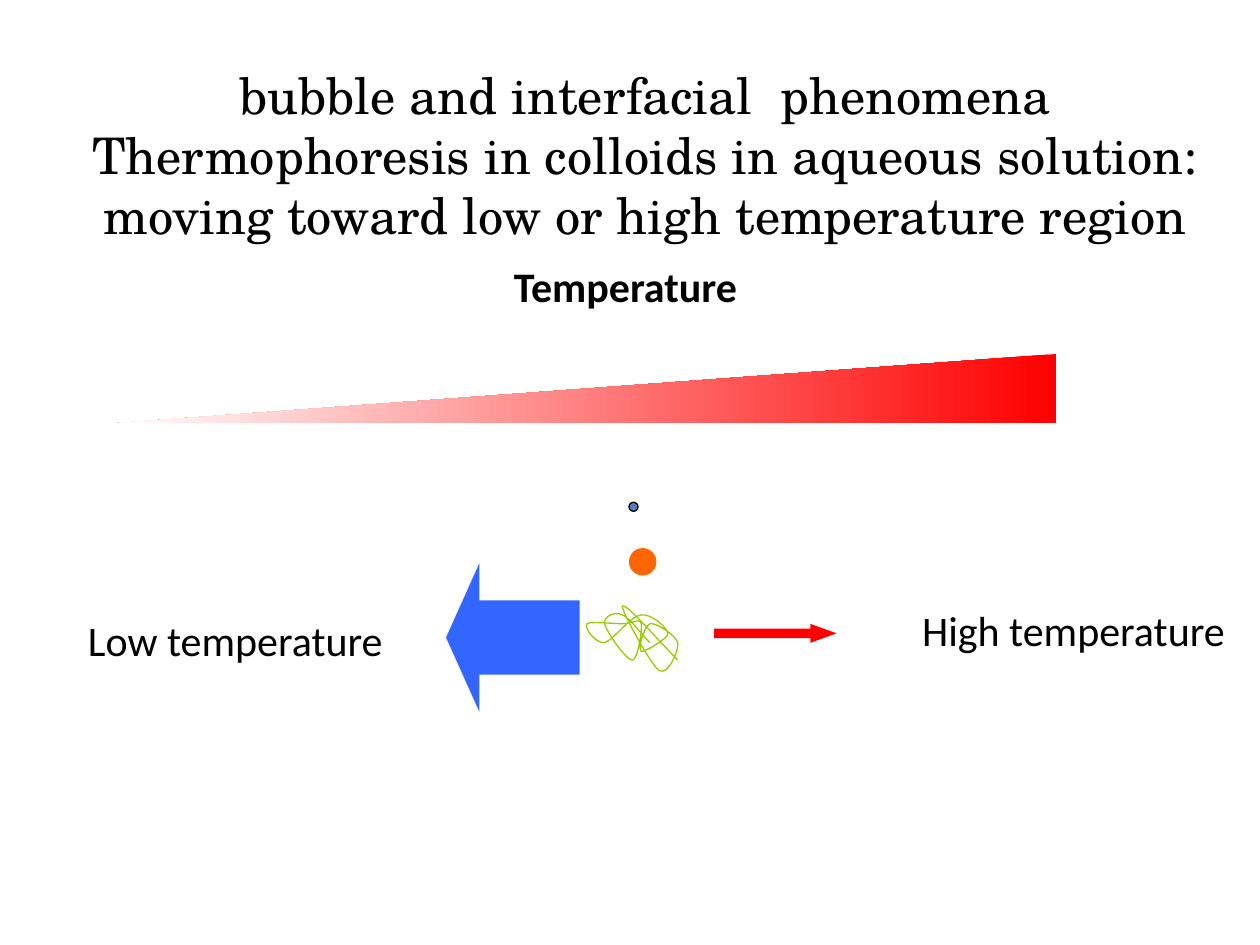
import pptx
import pptx.dml.color
import pptx.enum.shapes
import pptx.enum.text
import pptx.oxml
import pptx.oxml.ns
import pptx.util

Pt = pptx.util.Pt
MSO = pptx.enum.shapes.MSO_SHAPE


def color(value):
    return pptx.dml.color.RGBColor.from_string(value)


def add_text(text, left, top, width, height, size=24, font="Calibri", bold=False):
    tb = s.shapes.add_textbox(Pt(left), Pt(top), Pt(width), Pt(height))
    p = tb.text_frame.paragraphs[0]
    p.text = text
    for r in p.runs:
        r.font.size = Pt(size)
        r.font.name = font
        r.font.bold = bold
        r.font.color.rgb = color("000000")
    return tb


prs = pptx.Presentation()
prs.slide_width, prs.slide_height = Pt(720), Pt(540)
s = prs.slides.add_slide(prs.slide_layouts[6])

# Title
title = add_text(
    "bubble and interfacial  phenomena\v"
    "Thermophoresis in colloids in aqueous solution:\v"
    "moving toward low or high temperature region",
    8.64, 43.2, 720, 90, 28.8, "TeX Gyre Schola")
tf = title.text_frame
tf.word_wrap = True
tf.vertical_anchor = pptx.enum.text.MSO_ANCHOR.MIDDLE
tf.paragraphs[0].alignment = pptx.enum.text.PP_ALIGN.CENTER

# Labels
add_text("High temperature", 519.84, 342, 200.16, 36)
add_text("Low temperature", 43.2, 347.76, 194.4, 36)
add_text("Temperature", 286.56, 145.5, 159.84, 36, bold=True)

# Particles and drift arrows: shape, left, top, width, height, fill, line, adjustments
for kind, left, top, width, height, fill, line, adjustments in [
    (MSO.OVAL, 359.4, 313.2, 15.7, 15.7, "FF6600", None, []),
    (MSO.OVAL, 359.4, 287, 5.2, 5.2, "4F81BD", "000000", []),
    (MSO.RIGHT_ARROW, 408.1, 356.5, 70, 10.8, "FF0000", None, [0.5, 1.39]),
    (MSO.LEFT_ARROW, 254.9, 321.8, 76.3, 85, "3366FF", None, [0.5, 0.25]),
]:
    sp = s.shapes.add_shape(kind, Pt(left), Pt(top), Pt(width), Pt(height))
    sp.shadow.inherit = False
    sp.fill.solid()
    sp.fill.fore_color.rgb = color(fill)
    if line:
        sp.line.color.rgb = color(line)
        sp.line.width = Pt(0.75)
    else:
        sp.line.fill.background()
    for i, value in enumerate(adjustments):
        sp.adjustments[i] = value

# Tangled polymer: a start point, then three Bezier points per curve, in inches
coil = [
    (5.38, 5.24),
    (5.17, 5.02), (4.97, 4.79), (4.94, 4.81),
    (4.92, 4.82), (5.16, 5.27), (5.23, 5.32),
    (5.30, 5.37), (5.39, 5.16), (5.38, 5.10),
    (5.36, 5.04), (5.21, 4.94), (5.16, 4.95),
    (5.11, 4.97), (5.06, 5.16), (5.09, 5.17),
    (5.11, 5.18), (5.30, 5.07), (5.30, 5.03),
    (5.30, 4.98), (5.17, 4.87), (5.09, 4.88),
    (5.00, 4.89), (4.87, 5.08), (4.80, 5.10),
    (4.73, 5.11), (4.63, 4.98), (4.66, 4.95),
    (4.68, 4.93), (4.87, 4.95), (4.94, 4.95),
    (5.02, 4.95), (5.08, 4.90), (5.09, 4.95),
    (5.10, 5.00), (5.06, 5.24), (5.02, 5.24),
    (4.97, 5.24), (4.81, 5.01), (4.80, 4.95),
    (4.79, 4.89), (4.88, 4.85), (4.94, 4.88),
    (5.00, 4.90), (5.11, 5.06), (5.16, 5.10),
]
points = [(Pt(x * 72), Pt(y * 72)) for x, y in coil]
builder = s.shapes.build_freeform(*points[0])
builder.add_line_segments(points[1:], close=False)
sp = builder.convert_to_shape()
sp.shadow.inherit = False
sp.fill.background()
sp.line.color.rgb = color("99CC00")
sp.line.width = Pt(0.75)

# Turn each three line segments into one cubic curve
segments = sp._element.findall(".//" + pptx.oxml.ns.qn("a:lnTo"))
for i in range(0, len(segments), 3):
    curve = pptx.oxml.parse_xml(
        "<a:cubicBezTo %s/>" % pptx.oxml.ns.nsdecls("a"))
    segments[i].addprevious(curve)
    for segment in segments[i:i + 3]:
        curve.append(segment[0])
        segment.getparent().remove(segment)

# Temperature wedge, rising to the right
sp = s.shapes.add_shape(MSO.RIGHT_TRIANGLE, Pt(64.8), Pt(202.3), Pt(538.6), Pt(39.6))
sp.shadow.inherit = False
sp.line.fill.background()
sp._element.spPr.get_or_add_xfrm().set("flipH", "1")
sp.fill.gradient()
sp.fill.gradient_angle = 0
for stop, value in zip(sp.fill.gradient_stops, ["FF0000", "FFFFFF"]):
    stop.color.rgb = color(value)

prs.save("out.pptx")
